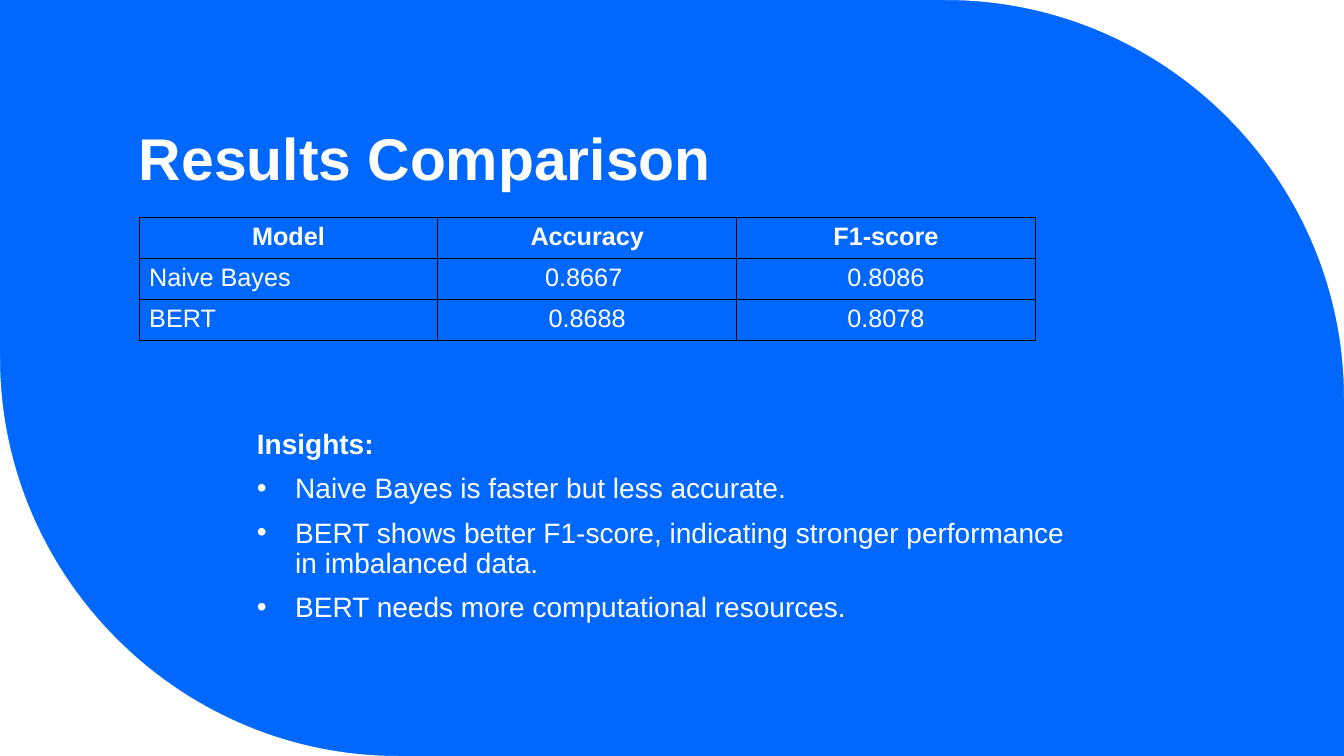
from lxml import etree
from pptx import Presentation
from pptx.dml.color import RGBColor
from pptx.enum.text import MSO_ANCHOR, PP_ALIGN
from pptx.oxml.ns import qn
from pptx.util import Inches, Pt

TOP, BOTTOM = MSO_ANCHOR.TOP, MSO_ANCHOR.BOTTOM
LEFT, CENTER = PP_ALIGN.LEFT, PP_ALIGN.CENTER

TITLE = "Results Comparison"
ROWS = [
    ("Model", "Accuracy", "F1-score"),
    ("Naive Bayes", "0.8667 ", "0.8086"),
    ("BERT", "0.8688", "0.8078"),
]
HEAD = "Insights:"
POINTS = [
    "Naive Bayes is faster but less accurate.",
    "BERT shows better F1-score, indicating stronger performance in imbalanced data.",
    "BERT needs more computational resources.",
]
THEME = {
    "font": "Arial",
    "back": RGBColor.from_string("0068FF"),
    "text": RGBColor.from_string("FFFFFF"),
    "line": "000000",
    "title": 42,
    "body": 20,
    "cell": 18,
}
WIDE, HIGH, RADIUS, BEND = 13.33, 7.5, 3.95, 0.55
CORNERS = [
    [(WIDE, 0), (WIDE - RADIUS, 0), (WIDE, RADIUS)],
    [(0, HIGH), (RADIUS, HIGH), (0, HIGH - RADIUS)],
]


def style(para, size, bold):
    for run in para.runs:
        font = run.font
        font.name, font.size, font.bold = THEME["font"], Pt(size), bold
        font.color.rgb = THEME["text"]


def bend_edge(shape):
    tip, start, end = [
        (int(point.get("x")), int(point.get("y")))
        for point in shape._element.iter(qn("a:pt"))
    ][:3]
    edge = list(shape._element.iter(qn("a:lnTo")))[1]
    curve = etree.Element(qn("a:cubicBezTo"))
    pulls = [
        [round(a + BEND * (b - a)) for a, b in zip(side, tip)]
        for side in (start, end)
    ]
    for x, y in pulls + [end]:
        etree.SubElement(curve, qn("a:pt"), x=str(x), y=str(y))
    edge.getparent().replace(edge, curve)


def add_corner(slide, points):
    tip, *ends = [(Inches(x), Inches(y)) for x, y in points]
    form = slide.shapes.build_freeform(*tip)
    form.add_line_segments(ends, close=True)
    shape = form.convert_to_shape()
    bend_edge(shape)
    shape.shadow.inherit = False
    shape.fill.solid()
    shape.fill.fore_color.rgb = THEME["text"]
    shape.line.fill.background()


def add_text(slide, box, lines, size, anchor, space):
    frame = slide.shapes.add_textbox(*map(Inches, box)).text_frame
    frame.word_wrap = True
    frame.vertical_anchor = anchor
    frame.text = "\n".join(lines)
    for index, para in enumerate(frame.paragraphs):
        para.line_spacing = space
        style(para, size, index == 0)
    return frame


def add_bullet(para):
    para.space_before = Pt(10)
    props = para._p.get_or_add_pPr()
    props.set("marL", str(Inches(0.38)))
    props.set("indent", str(-Inches(0.38)))
    etree.SubElement(props, qn("a:buFont"), typeface=THEME["font"])
    etree.SubElement(props, qn("a:buChar"), char="•")


def add_border(cell):
    props = cell._tc.get_or_add_tcPr()
    for side in ("lnL", "lnR", "lnT", "lnB"):
        line = etree.SubElement(props, qn("a:" + side), w=str(Pt(1)))
        fill = etree.SubElement(line, qn("a:solidFill"))
        etree.SubElement(fill, qn("a:srgbClr"), val=THEME["line"])


def add_grid(slide, left, top, width, height):
    count = len(ROWS[0])
    table = slide.shapes.add_table(
        len(ROWS), count, Inches(left), Inches(top), Inches(width), Inches(height)
    ).table
    table.first_row = table.horz_banding = False
    for row, texts in enumerate(ROWS):
        for col, text in enumerate(texts):
            cell = table.cell(row, col)
            cell.text = text
            add_border(cell)
            cell.fill.background()
            para = cell.text_frame.paragraphs[0]
            para.alignment = LEFT if row and col == 0 else CENTER
            style(para, THEME["cell"], row == 0)


def main():
    deck = Presentation()
    deck.slide_width, deck.slide_height = Inches(WIDE), Inches(HIGH)
    slide = deck.slides.add_slide(deck.slide_layouts[6])
    slide.background.fill.solid()
    slide.background.fill.fore_color.rgb = THEME["back"]
    for points in CORNERS:
        add_corner(slide, points)
    add_text(slide, (1.28, 0.08, 10.69, 1.87), [TITLE], THEME["title"], BOTTOM, 0.8)
    body = add_text(slide, (2.45, 4.22, 8.34, 2.67), [HEAD] + POINTS,
                    THEME["body"], TOP, 0.9)
    for para in body.paragraphs[1:]:
        add_bullet(para)
    add_grid(slide, 1.38, 2.16, 8.89, 1.22)
    deck.save("out.pptx")


if __name__ == "__main__":
    main()
